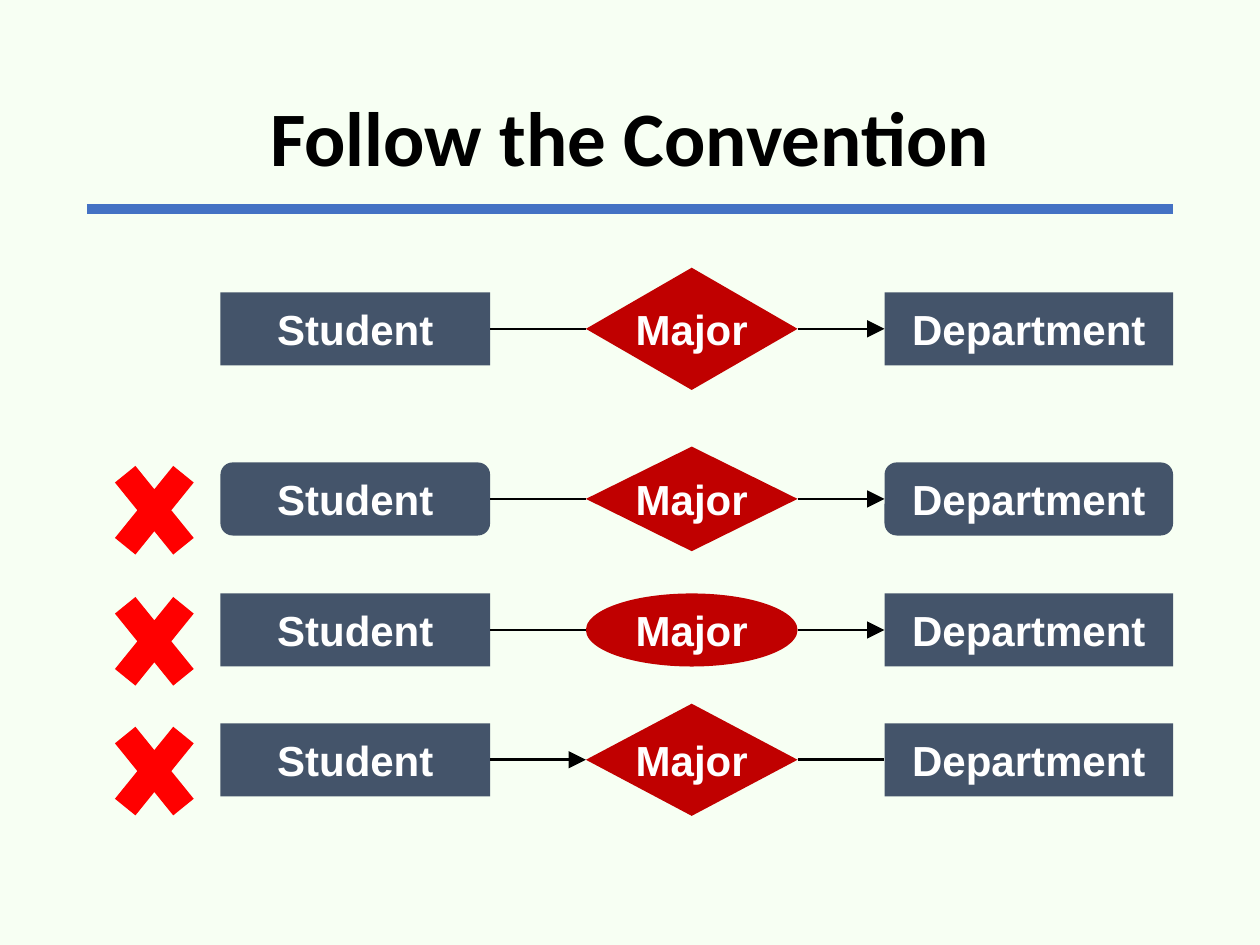
"""Build a slide contrasting the proper ER diagram notation with three wrong ones."""
from lxml import etree
from pptx import Presentation
from pptx.dml.color import RGBColor
from pptx.enum import shapes, text
from pptx.oxml import ns
from pptx.util import Inches, Pt

BACKGROUND = RGBColor(0xF7, 0xFF, 0xF3)
RULE = RGBColor(0x44, 0x72, 0xC4)
ENTITY = RGBColor(0x44, 0x54, 0x6A)
RELATION = RGBColor(0xC0, 0x00, 0x00)
CROSS = RGBColor(0xFF, 0x00, 0x00)
BLACK = RGBColor(0x00, 0x00, 0x00)
WHITE = RGBColor(0xFF, 0xFF, 0xFF)

KIND = shapes.MSO_SHAPE
TITLE = "Follow the Convention"
STUDENT = ("Student", 1.75, 2.14)
MAJOR = ("Major", 4.65, 1.68)
DEPARTMENT = ("Department", 7.02, 2.29)
ENTITY_HEIGHT = 0.58
LEFT_SIDE, RIGHT_SIDE = 1, 3

DIAGRAMS = [
    dict(middle=2.61, entity=KIND.RECTANGLE, relation=KIND.DIAMOND,
         height=0.97, target="Department", wrong=False),
    dict(middle=3.96, entity=KIND.ROUNDED_RECTANGLE, relation=KIND.DIAMOND,
         height=0.83, target="Department", wrong=True),
    dict(middle=5.0, entity=KIND.RECTANGLE, relation=KIND.OVAL,
         height=0.58, target="Department", wrong=True),
    dict(middle=6.03, entity=KIND.RECTANGLE, relation=KIND.DIAMOND,
         height=0.89, target="Major", wrong=True),
]


def write(frame, words, size, font, color):
    frame.vertical_anchor = text.MSO_ANCHOR.MIDDLE
    paragraph = frame.paragraphs[0]
    paragraph.text = words
    paragraph.alignment = text.PP_ALIGN.CENTER
    paragraph.font.size = Pt(size)
    paragraph.font.name = font
    paragraph.font.bold = True
    paragraph.font.color.rgb = color
    return paragraph


def add_figure(parent, kind, left, middle, width, height, fill):
    figure = parent.add_shape(kind, Inches(left), Inches(middle - height / 2),
                              Inches(width), Inches(height))
    figure.shadow.inherit = False
    figure.fill.solid()
    figure.fill.fore_color.rgb = fill
    figure.line.fill.background()
    return figure


def add_node(parent, kind, node, middle, height, fill):
    label, left, width = node
    figure = add_figure(parent, kind, left, middle, width, height, fill)
    figure.text_frame.word_wrap = False
    write(figure.text_frame, label, 24, "Arial", WHITE)
    return figure


def add_line(parent, start, end, y, color, weight, arrow=False):
    line = parent.add_connector(shapes.MSO_CONNECTOR.STRAIGHT,
                                Inches(start), Inches(y), Inches(end), Inches(y))
    line.line.color.rgb = color
    line.line.width = Pt(weight)
    if arrow:
        etree.SubElement(line.line._get_or_add_ln(), ns.qn("a:tailEnd"),
                         type="triangle", w="lg", len="lg")
    etree.SubElement(line._element.spPr, ns.qn("a:effectLst"))
    return line


def add_diagram(slide, middle, entity, relation, height, target, wrong):
    group = slide.shapes.add_group_shape().shapes
    student = add_node(group, entity, STUDENT, middle, ENTITY_HEIGHT, ENTITY)
    department = add_node(group, entity, DEPARTMENT, middle, ENTITY_HEIGHT, ENTITY)
    major = add_node(group, relation, MAJOR, middle, height, RELATION)
    for source, goal, begin, finish in ((STUDENT, MAJOR, student, major),
                                        (MAJOR, DEPARTMENT, major, department)):
        link = add_line(group, source[1] + source[2], goal[1], middle,
                        BLACK, 1.5, goal[0] == target)
        if begin.auto_shape_type != KIND.OVAL:
            link.begin_connect(begin, RIGHT_SIDE)
        if finish.auto_shape_type != KIND.OVAL:
            link.end_connect(finish, LEFT_SIDE)
    if wrong:
        add_figure(group, KIND.MATH_MULTIPLY, 0.78, middle + 0.09, 0.89, 1.1, CROSS)


def main():
    deck = Presentation()
    deck.slide_width, deck.slide_height = Inches(10), Inches(7.5)
    slide = deck.slides.add_slide(deck.slide_layouts[6])
    slide.background.fill.solid()
    slide.background.fill.fore_color.rgb = BACKGROUND

    add_line(slide.shapes, 0.69, 9.31, 1.66, RULE, 6)
    title = slide.shapes.add_textbox(Inches(0.69), Inches(0.4), Inches(8.62), Inches(1.45))
    title.text_frame.word_wrap = True
    heading = write(title.text_frame, TITLE, 44, "Calibri", BLACK)
    heading.line_spacing = 0.9

    for diagram in DIAGRAMS:
        add_diagram(slide, **diagram)
    deck.save("out.pptx")


if __name__ == "__main__":
    main()
